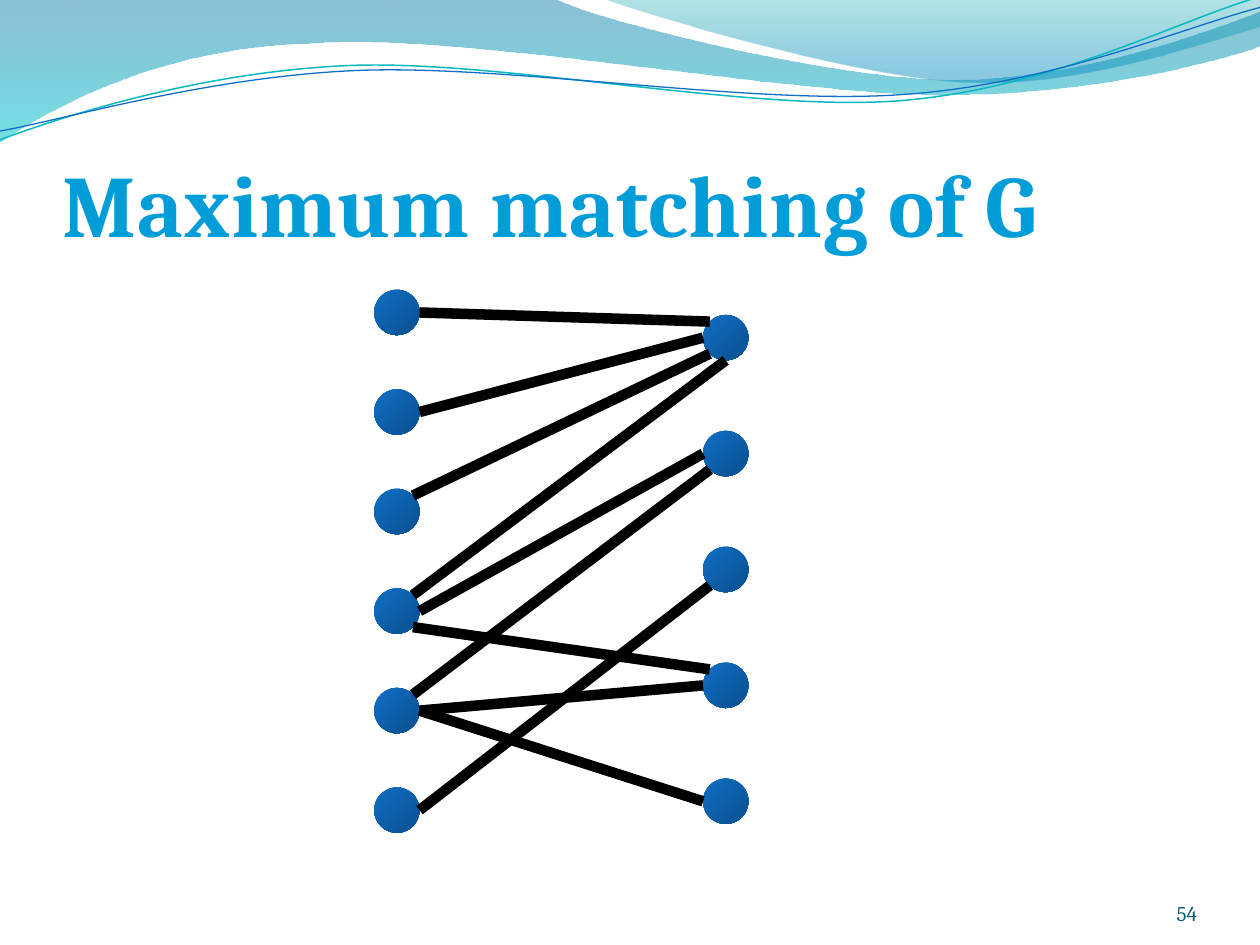
import math
from lxml import etree
from pptx import Presentation
from pptx import util as u
from pptx.dml.color import RGBColor
from pptx.enum import shapes, text
from pptx.oxml.ns import qn

deck = Presentation()
deck.slide_width, deck.slide_height = u.Inches(10), u.Inches(7.5)
slide = deck.slides.add_slide(deck.slide_layouts[6])
FONT = "Cambria"


def paint_gradient(shape, stops, angle):
    """Fill with two (position, colour, effect, percent) stops; angle runs clockwise."""
    shape.fill.gradient()
    shape.fill.gradient_angle = 360 - angle
    for stop, (position, colour, _, _) in zip(shape.fill.gradient_stops, stops):
        stop.position = position
        stop.color.rgb = RGBColor.from_string(colour)
    for node, (_, _, effect, percent) in zip(shape.element.spPr.iter(qn("a:srgbClr")), stops):
        if percent < 100:
            etree.SubElement(node, qn("a:" + effect), val=str(round(percent * 1000)))
    shape.line.fill.background()


def draw_wave(start, segments, closed):
    """Trace straight (x, y) and cubic (x1, y1, x2, y2, x, y) segments, in inches."""
    pairs = [segment[k:k + 2] for segment in segments for k in range(0, len(segment), 2)]
    builder = slide.shapes.build_freeform(*map(u.Inches, start))
    builder.add_line_segments([tuple(map(u.Inches, pair)) for pair in pairs], close=closed)
    wave = builder.convert_to_shape()
    wave.shadow.inherit = False
    steps = iter(list(wave.element.spPr.iter(qn("a:lnTo"))))
    for segment in segments:
        first = next(steps)
        if len(segment) == 6:
            first.tag = qn("a:cubicBezTo")
            for _ in range(2):
                control = next(steps)
                first.append(control[0])
                control.getparent().remove(control)
    return wave


# Wave banner
bands = [
    ((0, 0), [(4.4, -0.01), (4.76, 0.17, 6.64, 0.63, 7.58, 0.63),
              (8.53, 0.63, 9.58, 0.26, 10, 0.09), (10.01, 0.36),
              (9.83, 0.44, 8.7, 0.76, 7.46, 0.75), (6.22, 0.75, 3.82, 0.28, 2.57, 0.34),
              (1.29, 0.36, 0.46, 0.83, -0.01, 1.13), (0, 0)],
     [(0, "0074A1", "alpha", 45), (1, "00C6CF", "alpha", 55)]),
    ((4.79, -0.01), [(5.09, 0.11, 6.82, 0.62, 7.69, 0.65),
                     (8.56, 0.69, 9.61, 0.32, 10, 0.21), (10, 0), (4.79, -0.01)],
     [(0, "00A1A9", "alpha", 30), (0.8, "008BBF", "alpha", 45)]),
]
for start, segments, stops in bands:
    paint_gradient(draw_wave(start, segments, True), stops, 90)

# Thin strands are laid level, then the whole shape is tilted
TILT = 357.3
sine, cosine = math.sin(math.radians(-TILT)), math.cos(math.radians(TILT))
strands = [
    ((0, 1.11), [(0.48, 0.93, 1.58, 0.57, 2.77, 0.52), (3.95, 0.47, 5.93, 0.89, 7.13, 0.8),
                 (8.33, 0.71, 9.38, 0.15, 9.98, -0.02)], (4.99, 0.57), "0AB8BF", 0.85),
    ((0, 1.04), [(0.47, 0.96, 1.64, 0.61, 2.83, 0.56), (4.03, 0.51, 5.97, 0.84, 7.17, 0.75),
                 (8.36, 0.67, 9.41, 0.21, 10, 0.06)], (5, 0.59), "0F6FC6", 0.75),
]
for start, segments, (middle_x, middle_y), colour, width in strands:
    level = []
    for segment in [start] + segments:
        values = ()
        for x, y in zip(segment[::2], segment[1::2]):
            across, down = x - middle_x, y - middle_y
            values += (middle_x + across * cosine - down * sine,
                       middle_y + across * sine + down * cosine)
        level.append(values)
    strand = draw_wave(level[0], level[1:], False)
    strand.rotation = TILT
    strand.fill.background()
    strand.line.color.rgb = RGBColor.from_string(colour)
    strand.line.width = u.Pt(width)

# Slide number and title
labels = [
    ("54", (8.67, 6.95, 0.83, 0.4), 0, 12, "045D75", False, text.PP_ALIGN.RIGHT),
    ("Maximum matching of G", (0.5, 0.77, 9, 1.25), 0.05, 50, "009DD9", True,
     text.PP_ALIGN.LEFT),
]
for words, place, top_inset, size, colour, bold, align in labels:
    box = slide.shapes.add_textbox(*map(u.Inches, place))
    frame = box.text_frame
    frame.word_wrap = True
    frame.vertical_anchor = text.MSO_ANCHOR.BOTTOM
    frame.margin_left = frame.margin_right = frame.margin_bottom = 0
    frame.margin_top = u.Inches(top_inset)
    para = frame.paragraphs[0]
    para.alignment = align
    span = para.add_run()
    span.text = words
    para.font.name, para.font.size, para.font.bold = FONT, u.Pt(size), bold
    para.font.color.rgb = RGBColor.from_string(colour)
    if bold:
        span._r.get_or_add_rPr().set("spc", "50")

# Bipartite graph: two evenly spaced columns of nodes
RADIUS = 0.18
left_nodes = [(3.15, 2.48 + 0.79 * row) for row in range(6)]
right_nodes = [(5.76, 2.68 + 0.92 * row) for row in range(5)]
for x, y in left_nodes + right_nodes:
    node = slide.shapes.add_shape(
        shapes.MSO_SHAPE.OVAL, u.Inches(x - RADIUS), u.Inches(y - RADIUS),
        u.Inches(2 * RADIUS), u.Inches(2 * RADIUS))
    node.shadow.inherit = False
    paint_gradient(node, [(0, "0F6FC6", "shade", 100), (1, "0F6FC6", "shade", 46.28)], 45)

# Each edge: left row, side it leaves from, right row, side it reaches
SIDES = {"E": 0, "SE": 45, "S": 90, "SW": 135, "W": 180, "NW": 225, "NE": 315}
edges = [
    (0, "E", 0, "NW"), (1, "E", 0, "W"), (2, "NE", 0, "SW"), (3, "NE", 0, "S"),
    (3, "E", 1, "W"), (3, "SE", 3, "NW"), (5, "E", 2, "SW"), (4, "NE", 1, "SW"),
    (4, "E", 4, "W"), (4, "E", 3, "W"),
]
for left_row, left_side, right_row, right_side in edges:
    ends = []
    for (x, y), side in ((left_nodes[left_row], left_side),
                         (right_nodes[right_row], right_side)):
        turn = math.radians(SIDES[side])
        ends += [u.Inches(x + RADIUS * math.cos(turn)), u.Inches(y + RADIUS * math.sin(turn))]
    edge = slide.shapes.add_connector(shapes.MSO_CONNECTOR.STRAIGHT, *ends)
    edge.line.color.rgb = RGBColor.from_string("000000")
    edge.line.width = u.Pt(6)
    etree.SubElement(edge.element.spPr, qn("a:effectLst"))

deck.save("out.pptx")
